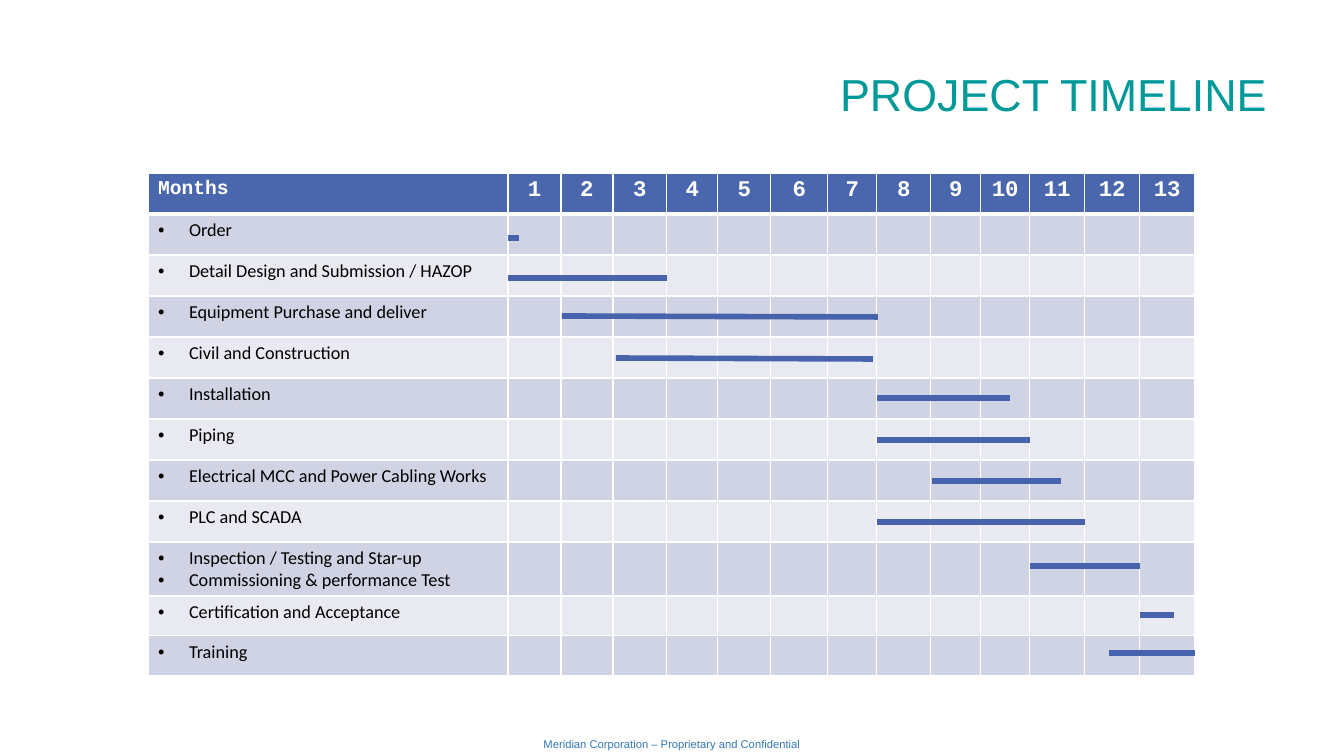
import dataclasses
import itertools

import lxml.etree
import pptx
import pptx.dml.color
import pptx.enum.shapes
import pptx.enum.text
import pptx.oxml.ns
import pptx.util

EMU_PER_PX = 914400 / 100.8
ALIGN = pptx.enum.text.PP_ALIGN
ANCHOR = pptx.enum.text.MSO_ANCHOR


@dataclasses.dataclass(frozen=True)
class Theme:
    title: str = "009999"
    footer: str = "3477B2"
    header: str = "4A66AC"
    odd_row: str = "D0D3E3"
    even_row: str = "E9EAF1"
    bar: str = "4663AB"
    white: str = "FFFFFF"
    black: str = "000000"
    heading_font: str = "Arial"
    header_font: str = "Courier New"
    task_font: str = "Calibri"
    title_size: int = 32
    month_size: int = 16
    header_size: int = 14
    task_size: int = 13
    footer_size: int = 8
    border_width: int = 1
    header_rule_width: int = 3
    bar_width: int = 4


THEME = Theme()

MONTH_WIDTHS = [53, 52, 54, 51, 53, 57, 49, 54, 50, 49, 55, 55, 55]
TASK_WIDTH = 360
ROW_HEIGHTS = [41] * 9 + [54, 40, 40]
BULLET_INDENT = 31

# Each stage: tasks, bar start and end from the first month, bar drop in its row, slope
STAGES = [
    (["Order"], 0, 11, 24, 0),
    (["Detail Design and Submission / HAZOP"], 0, 159, 23, 0),
    (["Equipment Purchase and deliver"], 54, 370, 20, 1),
    (["Civil and Construction"], 108, 365, 21, 1),
    (["Installation"], 369, 502, 20, 0),
    (["Piping"], 369, 522, 21, 0),
    (["Electrical MCC and Power Cabling Works"], 424, 553, 21, 0),
    (["PLC and SCADA"], 369, 577, 21, 0),
    (["Inspection / Testing and Star-up",
      "Commissioning & performance Test"], 522, 632, 24, 0),
    (["Certification and Acceptance"], 632, 666, 19, 0),
    (["Training"], 601, 687, 17, 0),
]


def px(length):
    return pptx.util.Emu(round(length * EMU_PER_PX))


def rgb(color):
    return pptx.dml.color.RGBColor.from_string(color)


def style(paragraph, font, size, color, bold=False, align=ALIGN.LEFT):
    paragraph.alignment = align
    paragraph.font.name = font
    paragraph.font.size = pptx.util.Pt(size)
    paragraph.font.bold = bold
    paragraph.font.color.rgb = rgb(color)


def add_line_of_text(slide, box, text, font, size, color, align):
    frame = slide.shapes.add_textbox(*map(px, box)).text_frame
    frame.word_wrap = True
    frame.vertical_anchor = ANCHOR.MIDDLE
    frame.text = text
    style(frame.paragraphs[0], font, size, color, align=align)


def add_child(parent, tag, **attributes):
    return lxml.etree.SubElement(parent, pptx.oxml.ns.qn(tag), attributes)


def set_bullet(paragraph):
    properties = paragraph._p.get_or_add_pPr()
    properties.set("marL", str(px(BULLET_INDENT)))
    properties.set("indent", str(-px(BULLET_INDENT)))
    bullet_font = lxml.etree.Element(pptx.oxml.ns.qn("a:buFont"), typeface="Arial")
    bullet = lxml.etree.Element(pptx.oxml.ns.qn("a:buChar"), char="•")
    properties.insert(0, bullet_font)
    properties.insert(1, bullet)


def paint_cell(cell, color, top_width, bottom_width):
    properties = cell._tc.get_or_add_tcPr()
    widths = {"a:lnL": THEME.border_width, "a:lnR": THEME.border_width,
              "a:lnT": top_width, "a:lnB": bottom_width}
    for side, width in widths.items():
        border = add_child(properties, side, w=str(pptx.util.Pt(width)))
        add_child(add_child(border, "a:solidFill"), "a:srgbClr", val=THEME.white)
    cell.fill.solid()
    cell.fill.fore_color.rgb = rgb(color)


def fill_header(cells):
    for month, cell in enumerate(cells):
        cell.text = str(month) if month else "Months"
        style(cell.text_frame.paragraphs[0], THEME.header_font,
              THEME.month_size if month else THEME.header_size, THEME.white,
              bold=True, align=ALIGN.CENTER if month else ALIGN.LEFT)
        paint_cell(cell, THEME.header, THEME.border_width, THEME.header_rule_width)


def fill_stage(cells, number, tasks):
    color = THEME.odd_row if number % 2 else THEME.even_row
    top_width = THEME.header_rule_width if number == 1 else THEME.border_width
    for column, cell in enumerate(cells):
        if column == 0:
            cell.text = "\n".join(tasks)
        for paragraph in cell.text_frame.paragraphs:
            style(paragraph, THEME.task_font, THEME.task_size, THEME.black)
            if column == 0:
                set_bullet(paragraph)
        paint_cell(cell, color, top_width, THEME.border_width)


def add_schedule(slide, box):
    column_widths = [TASK_WIDTH] + MONTH_WIDTHS
    table = slide.shapes.add_table(
        len(ROW_HEIGHTS), len(column_widths), *map(px, box)).table
    for column, width in zip(table.columns, column_widths):
        column.width = px(width)
    for row, height in zip(table.rows, ROW_HEIGHTS):
        row.height = px(height)
    header, *stage_rows = table.rows
    fill_header(header.cells)
    for number, (row, stage) in enumerate(zip(stage_rows, STAGES), 1):
        fill_stage(row.cells, number, stage[0])


def add_bars(slide, box):
    left, top = box[0] + TASK_WIDTH, box[1]
    for row_offset, stage in zip(itertools.accumulate(ROW_HEIGHTS), STAGES):
        _, start, end, drop, slope = stage
        y = top + row_offset + drop
        bar = slide.shapes.add_connector(
            pptx.enum.shapes.MSO_CONNECTOR.STRAIGHT,
            px(left + start), px(y), px(left + end), px(y + slope))
        bar.line.color.rgb = rgb(THEME.bar)
        bar.line.width = pptx.util.Pt(THEME.bar_width)
        add_child(bar._element.spPr, "a:effectLst")


def build_timeline(slide):
    add_line_of_text(slide, (462, 732, 420, 24),
                     "Meridian Corporation – Proprietary and Confidential",
                     THEME.heading_font, THEME.footer_size, THEME.footer, ALIGN.CENTER)
    schedule_box = (148, 173, TASK_WIDTH + sum(MONTH_WIDTHS), sum(ROW_HEIGHTS))
    add_schedule(slide, schedule_box)
    add_bars(slide, schedule_box)
    add_line_of_text(slide, (216, 31, 1061, 126), "PROJECT TIMELINE",
                     THEME.heading_font, THEME.title_size, THEME.title, ALIGN.RIGHT)


def main():
    presentation = pptx.Presentation()
    presentation.slide_width = px(1344)
    presentation.slide_height = px(756)
    build_timeline(presentation.slides.add_slide(presentation.slide_layouts[6]))
    presentation.save("out.pptx")


if __name__ == "__main__":
    main()
